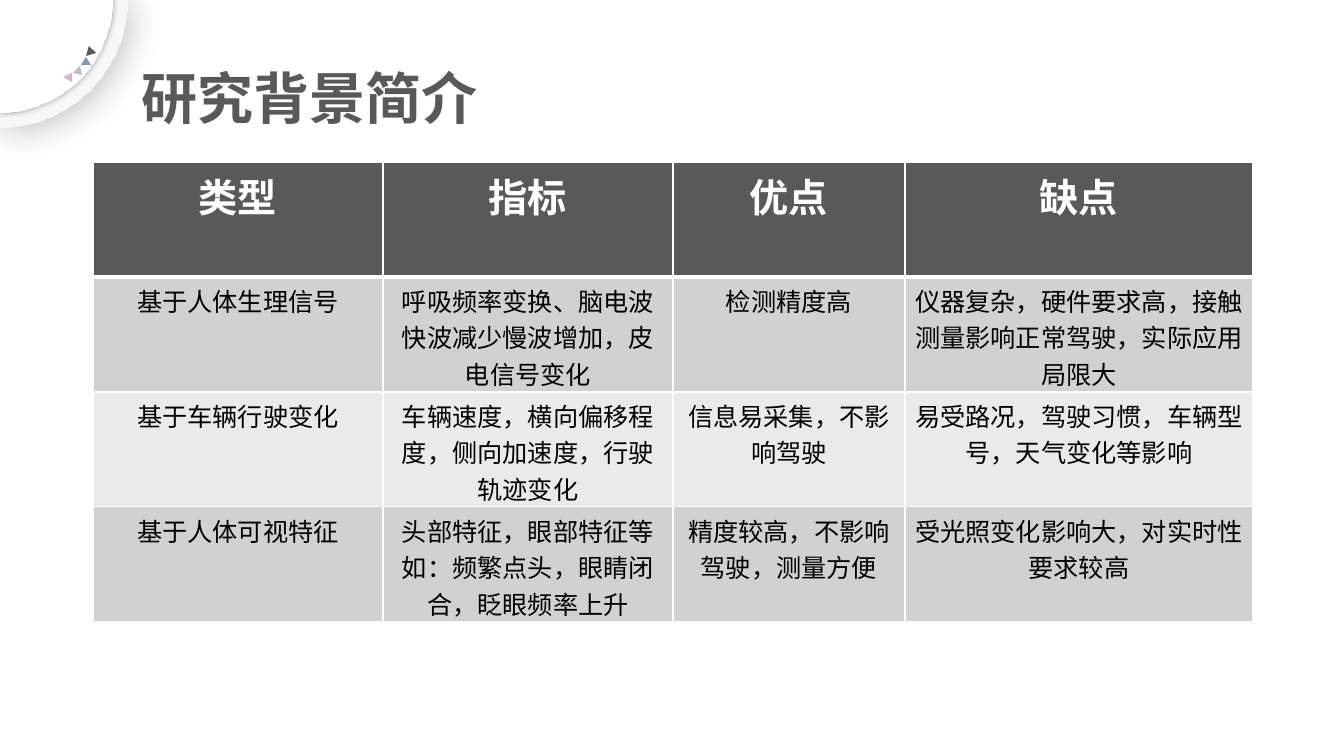
from math import cos, pi, sin

from lxml.etree import SubElement
from pptx import Presentation
from pptx.dml.color import RGBColor
from pptx.enum.text import MSO_ANCHOR as Anchor, PP_ALIGN as Align
from pptx.oxml import parse_xml
from pptx.oxml.ns import nsdecls, qn
from pptx.util import Emu, Pt

FONT = "Noto Sans CJK SC"
DARK, WHITE, BLACK = "595959", "FFFFFF", "000000"
BANDS = ["D1D1D1", "EAEAEA"]
TITLE = "研究背景简介"
HEADERS = ["类型", "指标", "优点", "缺点"]
ROWS = [
    ["基于人体生理信号", "呼吸频率变换、脑电波快波减少慢波增加，皮电信号变化",
     "检测精度高", "仪器复杂，硬件要求高，接触测量影响正常驾驶，实际应用局限大"],
    ["基于车辆行驶变化", "车辆速度，横向偏移程度，侧向加速度，行驶轨迹变化",
     "信息易采集，不影响驾驶", "易受路况，驾驶习惯，车辆型号，天气变化等影响"],
    ["基于人体可视特征", "头部特征，眼部特征等\n如：频繁点头，眼睛闭合，眨眼频率上升",
     "精度较高，不影响驾驶，测量方便", "受光照变化影响大，对实时性要求较高"],
]
COLUMN_WIDTHS = [290, 290, 232, 348]
ROW_HEIGHT = 115
TABLE_LEFT, TABLE_TOP = 93, 162
CORNER_DISCS = [
    (128, "F7F7F7", dict(alpha=25, blur=26, distance=3, angle=45)),
    (113, WHITE, dict(alpha=40, blur=5, distance=0, angle=0)),
]
TRIANGLES = [
    ([(96, 53), (86, 56), (89, 46)], DARK),
    ([(91, 65), (81, 65), (86, 57)], "8496B0"),
    ([(82, 75), (73, 73), (80, 66)], "BCBCBC"),
    ([(72, 82), (63, 77), (72, 73)], "D7B5C6"),
]
SCALE = 12192000 / 1344


def px(length):
    return Emu(round(length * SCALE))


def color(value):
    return RGBColor.from_string(value)


def write(frame, text, size, fill, latin=FONT, bold=False, align=Align.LEFT, spacing=None):
    frame.word_wrap = True
    frame.text = text
    for paragraph in frame.paragraphs:
        paragraph.alignment = align
        paragraph.line_spacing = spacing
        for run in paragraph.runs:
            run.font.name = latin
            run.font.size = Pt(size)
            run.font.bold = bold
            run.font.color.rgb = color(fill)
            SubElement(run.font._element, qn("a:ea"), typeface=FONT)


def add_outline(points, fill):
    builder = slide.shapes.build_freeform(*points[0], scale=SCALE)
    builder.add_line_segments(points[1:], close=True)
    shape = builder.convert_to_shape()
    shape.shadow.inherit = False
    shape.fill.solid()
    shape.fill.fore_color.rgb = color(fill)
    shape.line.fill.background()
    return shape


def add_shadow(shape, alpha, blur, distance, angle):
    effects = shape._element.spPr.find(qn("a:effectLst"))
    effects.append(parse_xml(
        f'<a:outerShdw {nsdecls("a")} blurRad="{Pt(blur)}" dist="{Pt(distance)}" '
        f'dir="{angle * 60000}" algn="tl" rotWithShape="0"><a:srgbClr val="{BLACK}">'
        f'<a:alpha val="{alpha * 1000}"/></a:srgbClr></a:outerShdw>'))


def set_borders(cell, **widths):
    properties = cell._tc.get_or_add_tcPr()
    for index, (side, width) in enumerate(widths.items()):
        properties.insert(index, parse_xml(
            f'<a:ln{side} {nsdecls("a")} w="{Pt(width)}"><a:solidFill>'
            f'<a:srgbClr val="{WHITE}"/></a:solidFill></a:ln{side}>'))


presentation = Presentation()
presentation.slide_width, presentation.slide_height = px(1344), px(756)
slide = presentation.slides.add_slide(presentation.slide_layouts[6])

for radius, fill, shadow in CORNER_DISCS:
    angles = [step * pi / 120 for step in range(61)]
    arc = [(radius * cos(angle), radius * sin(angle)) for angle in angles]
    add_shadow(add_outline([(0, 0)] + arc, fill), **shadow)
for points, fill in TRIANGLES:
    add_outline(points, fill)

title = slide.shapes.add_textbox(px(132), px(30), px(1079), px(121))
title.text_frame.vertical_anchor = Anchor.MIDDLE
write(title.text_frame, TITLE, 40, DARK, bold=True, spacing=1.2)

grid = [HEADERS] + ROWS
table = slide.shapes.add_table(
    len(grid), len(HEADERS), px(TABLE_LEFT), px(TABLE_TOP),
    px(sum(COLUMN_WIDTHS)), px(ROW_HEIGHT * len(grid))).table
for column, width in zip(table.columns, COLUMN_WIDTHS):
    column.width = px(width)
for row_index, texts in enumerate(grid):
    is_header = row_index == 0
    table.rows[row_index].height = px(ROW_HEIGHT)
    for column_index, text in enumerate(texts):
        cell = table.cell(row_index, column_index)
        cell.fill.solid()
        cell.fill.fore_color.rgb = color(DARK if is_header else BANDS[(row_index - 1) % 2])
        set_borders(cell, L=1, R=1, T=3 if row_index == 1 else 1, B=3 if is_header else 1)
        if is_header:
            write(cell.text_frame, text, 28, WHITE, latin="Arial", bold=True, align=Align.CENTER)
        else:
            write(cell.text_frame, text, 18, BLACK, align=Align.CENTER)

presentation.save("out.pptx")
